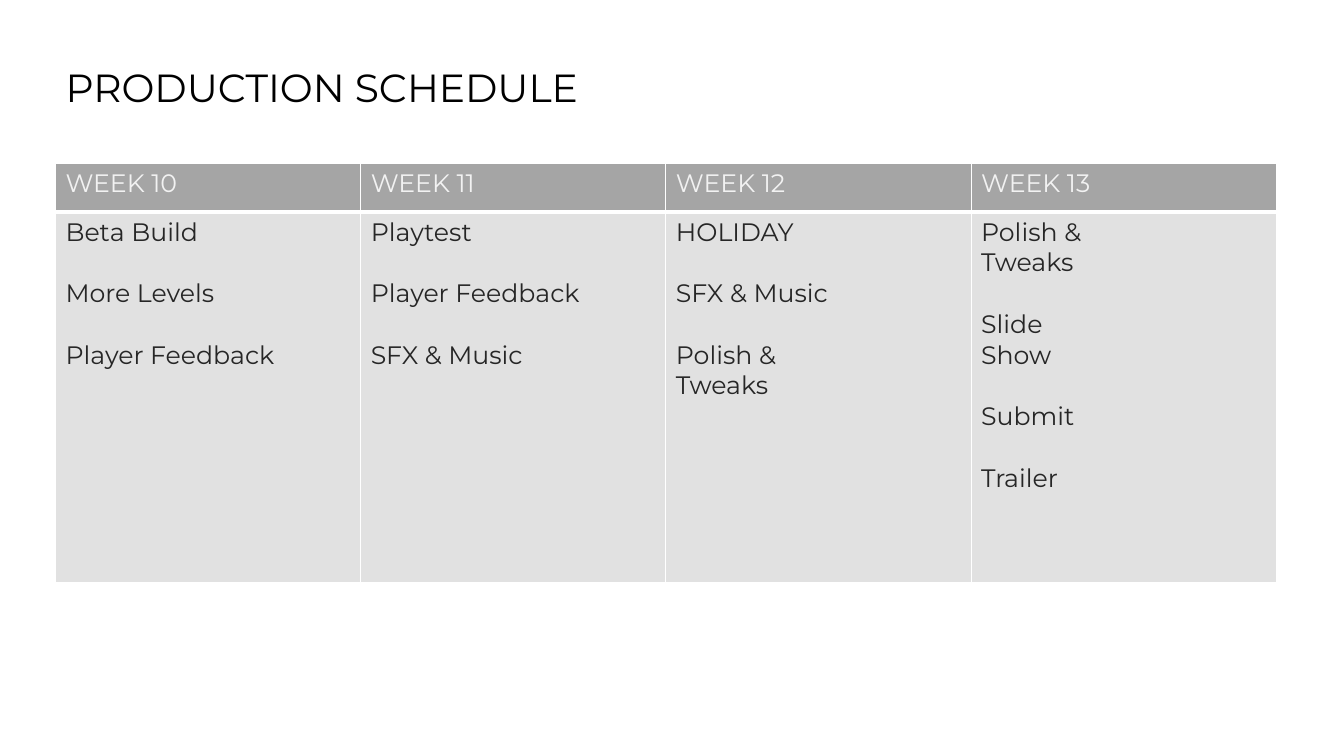
from lxml.etree import SubElement
from pptx import Presentation
from pptx.dml.color import RGBColor
from pptx.enum.text import MSO_ANCHOR, MSO_AUTO_SIZE, PP_ALIGN
from pptx.oxml.ns import qn
from pptx.util import Inches, Pt

COLORS = {
    "title": "000000",
    "header_text": "F2F2F2",
    "header_fill": "A5A5A5",
    "task_text": "262626",
    "task_fill": "E1E1E1",
    "border": "FFFFFF",
}
FONT = "Montserrat"
TASK_GAP = Pt(22)

SCHEDULE = {
    "WEEK 10": ["Beta Build", "More Levels", "Player Feedback"],
    "WEEK 11": ["Playtest", "Player Feedback", "SFX & Music"],
    "WEEK 12": ["HOLIDAY", "SFX & Music", "Polish &\nTweaks"],
    "WEEK 13": ["Polish &\nTweaks", "Slide\nShow", "Submit", "Trailer"],
}


def rgb(name):
    return RGBColor.from_string(COLORS[name])


def format_runs(paragraph, size, color):
    for run in paragraph.runs:
        for attribute, value in {"name": FONT, "size": Pt(size), "bold": False}.items():
            setattr(run.font, attribute, value)
        run.font.color.rgb = rgb(color)


def set_borders(cell, widths):
    """Draw cell borders; widths maps side letters L, R, T, B to points."""
    properties = cell._tc.get_or_add_tcPr()
    for side, width in widths.items():
        line = SubElement(properties, qn(f"a:ln{side}"), w=str(Pt(width)))
        fill = SubElement(line, qn("a:solidFill"))
        SubElement(fill, qn("a:srgbClr"), val=COLORS["border"])


def fill_cell(cell, entries, role, borders):
    set_borders(cell, borders)
    cell.fill.solid()
    cell.fill.fore_color.rgb = rgb(f"{role}_fill")
    for index, entry in enumerate(entries):
        if index == 0:
            paragraph = cell.text_frame.paragraphs[0]
        else:
            paragraph = cell.text_frame.add_paragraph()
            paragraph.space_before = TASK_GAP
        paragraph.text = entry
        format_runs(paragraph, 18, f"{role}_text")


def set_title(slide, text):
    title = slide.shapes.title
    place = {"left": 0.55, "top": 0.63, "width": 7.39, "height": 0.83}
    for attribute, value in place.items():
        setattr(title, attribute, Inches(value))
    frame = title.text_frame
    frame.text = text
    frame_format = {
        "vertical_anchor": MSO_ANCHOR.TOP,
        "auto_size": MSO_AUTO_SIZE.NONE,
        "word_wrap": True,
    }
    for attribute, value in frame_format.items():
        setattr(frame, attribute, value)
    heading = frame.paragraphs[0]
    heading.alignment = PP_ALIGN.LEFT
    heading.line_spacing = 0.9
    format_runs(heading, 28, "title")


def add_schedule(slide):
    table = slide.shapes.add_table(
        2, len(SCHEDULE), Inches(0.55), Inches(1.62), Inches(12.11), Inches(4.16)
    ).table
    for row, height in zip(table.rows, (0.48, 3.68)):
        row.height = Inches(height)
    for column, (week, tasks) in enumerate(SCHEDULE.items()):
        fill_cell(table.cell(0, column), [week], "header", {"L": 1, "R": 1, "T": 1, "B": 3})
        fill_cell(table.cell(1, column), tasks, "task", {"L": 1, "R": 1, "T": 3, "B": 1})


def main():
    presentation = Presentation()
    presentation.slide_width = Inches(13.33)
    presentation.slide_height = Inches(7.5)
    slide = presentation.slides.add_slide(presentation.slide_layouts[5])
    set_title(slide, "PRODUCTION SCHEDULE")
    add_schedule(slide)
    presentation.save("out.pptx")


if __name__ == "__main__":
    main()
